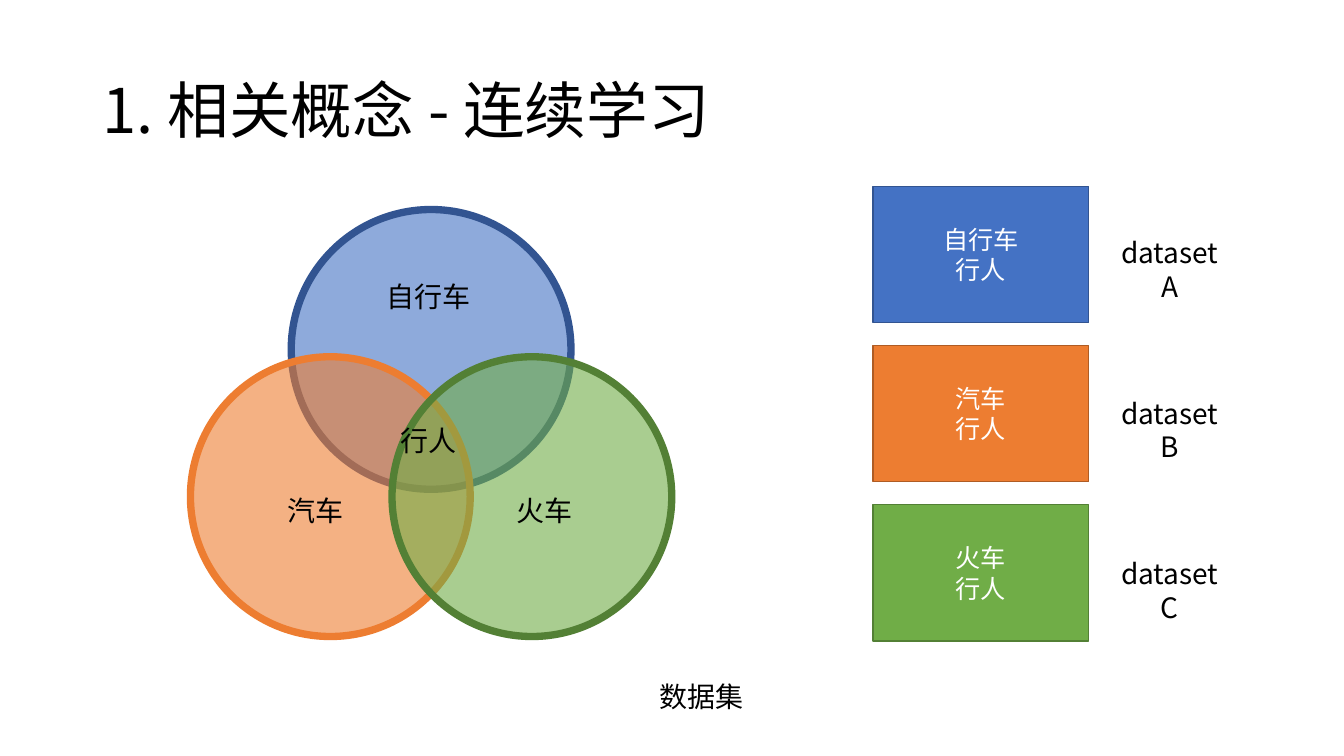
from dataclasses import dataclass

import pptx
import pptx.dml.color
import pptx.enum.shapes
import pptx.enum.text
import pptx.oxml.ns
import pptx.util
from lxml import etree
from pptx.util import Cm

ALIGN = pptx.enum.text.PP_ALIGN
ANCHOR = pptx.enum.text.MSO_ANCHOR
SHAPE = pptx.enum.shapes.MSO_SHAPE
qn = pptx.oxml.ns.qn


@dataclass(frozen=True)
class Theme:
    """Colours, font and type sizes of the slide."""

    font: str = "Noto Sans CJK SC"
    black: str = "000000"
    white: str = "FFFFFF"
    blue: str = "4472C4"
    dark_blue: str = "325491"
    orange: str = "ED7D31"
    dark_orange: str = "AF5C24"
    green: str = "70AD47"
    dark_green: str = "538035"
    title_size: int = 44
    label_size: int = 20
    box_size: int = 18
    circle_line: float = 5.25
    box_line: float = 1
    circle_opacity: int = 60


THEME = Theme()


def rgb(color):
    """Return the colour object for a hex string."""
    return pptx.dml.color.RGBColor.from_string(color)


def format_paragraph(paragraph, size, color, alignment=ALIGN.CENTER):
    """Set alignment, size, colour and both Latin and East Asian fonts."""
    paragraph.alignment = alignment
    paragraph.font.size = pptx.util.Pt(size)
    paragraph.font.color.rgb = rgb(color)
    paragraph.font.name = THEME.font
    properties = paragraph._p.pPr.find(qn("a:defRPr"))
    etree.SubElement(properties, qn("a:ea")).set("typeface", THEME.font)


def set_title(slide, text):
    """Move and format the title placeholder."""
    title = slide.shapes.title
    title.left, title.top = Cm(2.33), Cm(1.01)
    title.width, title.height = Cm(29.21), Cm(3.68)
    frame = title.text_frame
    frame.text = text
    frame.vertical_anchor = ANCHOR.MIDDLE
    frame.auto_size = pptx.enum.text.MSO_AUTO_SIZE.NONE
    paragraph = frame.paragraphs[0]
    paragraph.line_spacing = 0.9
    format_paragraph(paragraph, THEME.title_size, THEME.black, ALIGN.LEFT)


def add_filled_shape(slide, kind, left, top, width, height, fill, line, line_width):
    """Add a flat preset shape with its fill and outline."""
    shape = slide.shapes.add_shape(kind, Cm(left), Cm(top), Cm(width), Cm(height))
    shape.shadow.inherit = False
    shape.fill.solid()
    shape.fill.fore_color.rgb = rgb(fill)
    shape.line.color.rgb = rgb(line)
    shape.line.width = pptx.util.Pt(line_width)
    return shape


def add_circle(slide, left, top, fill, line):
    """Add one translucent circle of the Venn diagram."""
    circle = add_filled_shape(slide, SHAPE.OVAL, left, top, 7.05, 7.05,
                              fill, line, THEME.circle_line)
    color = circle._element.spPr.find(qn("a:solidFill"))[0]
    etree.SubElement(color, qn("a:alpha")).set("val", str(THEME.circle_opacity * 1000))


def add_box(slide, top, lines, fill, line):
    """Add one dataset box listing its classes."""
    box = add_filled_shape(slide, SHAPE.RECTANGLE, 22, top, 5.44, 3.43,
                           fill, line, THEME.box_line)
    frame = box.text_frame
    frame.text = "\n".join(lines)
    frame.vertical_anchor = ANCHOR.MIDDLE
    for paragraph in frame.paragraphs:
        format_paragraph(paragraph, THEME.box_size, THEME.white)


def add_label(slide, center, top, width, text, wrap=False):
    """Add a text label centred on a given position."""
    label = slide.shapes.add_textbox(Cm(center - width / 2), Cm(top), Cm(width), Cm(1.11))
    frame = label.text_frame
    frame.word_wrap = wrap
    frame.text = text
    format_paragraph(frame.paragraphs[0], THEME.label_size, THEME.black)


def main():
    """Build the slide and save it."""
    presentation = pptx.Presentation()
    presentation.slide_width, presentation.slide_height = Cm(33.87), Cm(19.05)
    slide = presentation.slides.add_slide(presentation.slide_layouts[5])
    set_title(slide, "1. 相关概念 - 连续学习")

    shared = "行人"
    add_circle(slide, 7.34, 5.28, THEME.blue, THEME.dark_blue)
    add_circle(slide, 4.8, 8.99, THEME.orange, THEME.orange)
    add_circle(slide, 9.88, 8.99, THEME.green, THEME.dark_green)
    add_label(slide, 10.8, 10.54, 1.93, shared)
    add_label(slide, 10.8, 6.93, 2.64, "自行车")
    add_label(slide, 7.95, 12.32, 1.93, "汽车")
    add_label(slide, 13.72, 12.32, 1.93, "火车")
    add_label(slide, 17.68, 16.99, 2.64, "数据集")

    datasets = [
        ("A", "自行车", THEME.blue, THEME.dark_blue),
        ("B", "汽车", THEME.orange, THEME.dark_orange),
        ("C", "火车", THEME.green, THEME.dark_green),
    ]
    for row, (letter, vehicle, fill, line) in enumerate(datasets):
        add_box(slide, 4.7 + row * 4.01, [vehicle, shared], fill, line)
        add_label(slide, 29.48, 5.82 + row * 4.04, 3.36, f"dataset {letter}", wrap=True)

    presentation.save("out.pptx")


if __name__ == "__main__":
    main()
